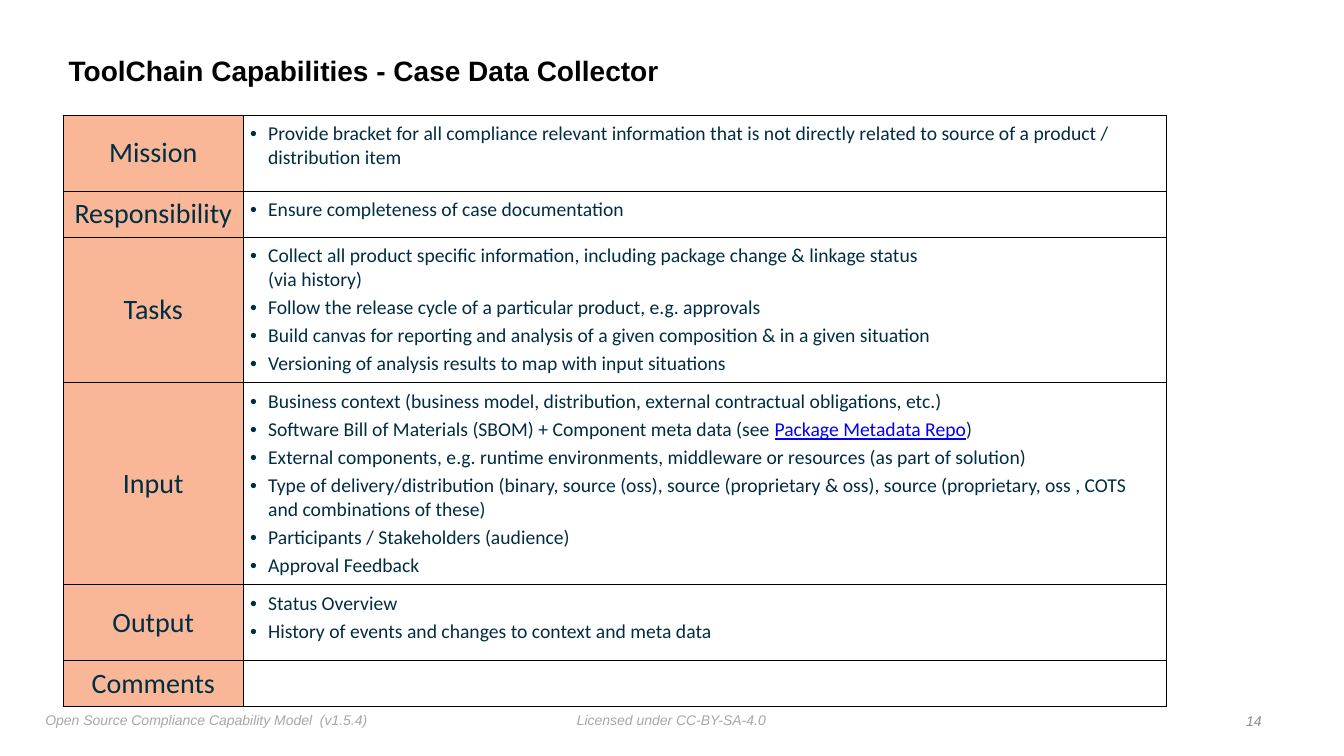
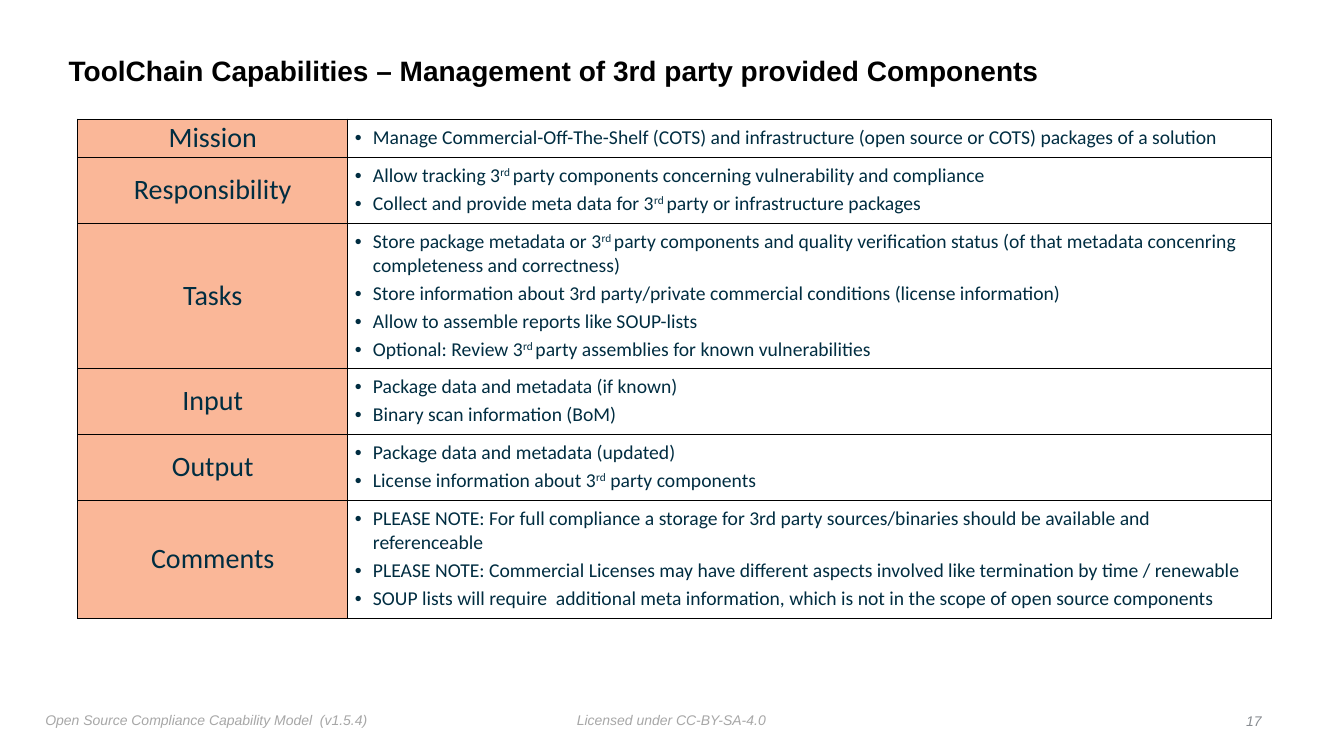
from dataclasses import dataclass

from lxml import etree
from pptx import Presentation
from pptx.dml.color import RGBColor
from pptx.enum.text import MSO_ANCHOR, PP_ALIGN
from pptx.oxml.ns import qn
from pptx.util import Inches, Pt

LEFT, CENTER, RIGHT = PP_ALIGN.LEFT, PP_ALIGN.CENTER, PP_ALIGN.RIGHT
TOP, MIDDLE = MSO_ANCHOR.TOP, MSO_ANCHOR.MIDDLE


@dataclass(frozen=True)
class Theme:
    heading_font: str = "Arial"
    table_font: str = "Calibri"
    black: str = "000000"
    ink: str = "002D41"
    link: str = "0000FF"
    label_fill: str = "FAB798"
    footer: str = "A7A7A7"
    number: str = "888C91"
    large: int = 20
    body: int = 14
    small: int = 10


theme = Theme()
presentation = Presentation()
presentation.slide_width, presentation.slide_height = Inches(13.33), Inches(7.5)
column = presentation.slide_width / 100
row = presentation.slide_height / 100
label_names = ["Mission", "Responsibility", "Tasks", "Input", "Output", "Comments"]
text_column = 68.72

pages = [
    {
        "title": "ToolChain Capabilities - Case Data Collector",
        "number": "14",
        "left": 4.73,
        "top": 15.2,
        "label_column": 13.35,
        "heights": [10.05, 6.08, 19.31, 26.72, 10.05, 6.08],
        "texts": [
            ["Provide bracket for all compliance relevant information that is not directly related to source of a product / distribution item"],
            ["Ensure completeness of case documentation"],
            [
                "Collect all product specific information, including package change & linkage status |\n|(via history)",
                "Follow the release cycle of a particular product, e.g. approvals",
                "Build canvas for reporting and analysis of a given composition & in a given situation",
                "Versioning of analysis results to map with input situations",
            ],
            [
                "Business context (business model, distribution, external contractual obligations, etc.)",
                "Software Bill of Materials (SBOM) + Component meta data (see |_Package Metadata Repo|)",
                "External components, e.g. runtime environments, middleware or resources (as part of solution)",
                "Type of delivery/distribution (binary, source (oss), source (proprietary & oss), source (proprietary, oss , COTS and combinations of these)",
                "Participants / Stakeholders (audience)",
                "Approval Feedback",
            ],
            ["Status Overview", "History of events and changes to context and meta data"],
            [],
        ],
    },
    {
        "title": "ToolChain Capabilities – Management of 3rd party provided Components",
        "number": "17",
        "left": 5.78,
        "top": 15.73,
        "label_column": 20.1,
        "heights": [5.03, 8.73, 19.2, 8.73, 8.73, 15.6],
        "texts": [
            ["Manage Commercial-Off-The-Shelf (COTS) and infrastructure (open source or COTS) packages of a solution"],
            [
                "Allow tracking 3|^rd |party components concerning vulnerability and compliance",
                "Collect and provide meta data for 3|^rd |party or infrastructure packages",
            ],
            [
                "Store package metadata or 3|^rd |party components and quality verification status (of that metadata concenring completeness and correctness)",
                "Store information about 3rd party/private commercial conditions (license information)",
                "Allow to assemble reports like SOUP-lists",
                "Optional: Review 3|^rd |party assemblies for known vulnerabilities",
            ],
            ["Package data and metadata (if known)", "Binary scan information (BoM)"],
            ["Package data and metadata (updated)", "License information about 3|^rd| party components"],
            [
                "PLEASE NOTE: For full compliance a storage for 3rd party sources/binaries should be available and referenceable",
                "PLEASE NOTE: Commercial Licenses may have different aspects involved like termination by time / renewable",
                "SOUP lists will require  additional meta information, which is not in the scope of open source components",
            ],
        ],
    },
]


def add_run(paragraph, text, font_name, size, color):
    run = paragraph.add_run()
    run.text = text
    run.font.name, run.font.size = font_name, Pt(size)
    run.font.color.rgb = RGBColor.from_string(color)
    return run


def style_cell(cell, margin, anchor):
    cell.margin_left = cell.margin_right = cell.margin_top = cell.margin_bottom = Inches(margin)
    cell.vertical_anchor = anchor
    properties = cell._tc.get_or_add_tcPr()
    for side in ("a:lnL", "a:lnR", "a:lnT", "a:lnB"):
        line = etree.SubElement(properties, qn(side), w=str(Pt(0.5)))
        fill = etree.SubElement(line, qn("a:solidFill"))
        etree.SubElement(fill, qn("a:srgbClr"), val=theme.black)


for page in pages:
    slide = presentation.slides.add_slide(presentation.slide_layouts[6])

    captions = [
        ("Licensed under CC-BY-SA-4.0", 42.54, 93.47, 14.93, 3.33, theme.footer, LEFT, TOP),
        ("Open Source Compliance Capability Model  (v1.5.4)", 3, 93.47, 24.91, 3.6, theme.footer, LEFT, TOP),
        (page["title"], 4.73, 5.2, 80.64, 8.67, theme.black, LEFT, MIDDLE),
        (page["number"], 91, 93.73, 3.25, 3.33, theme.number, RIGHT, MIDDLE),
    ]
    for text, left, top, width, height, color, alignment, anchor in captions:
        is_title = text == page["title"]
        shape = slide.shapes.add_textbox(
            int(left * column), int(top * row), int(width * column), int(height * row)
        )
        frame = shape.text_frame
        frame.word_wrap = is_title or alignment == RIGHT
        frame.vertical_anchor = anchor
        frame.margin_left = frame.margin_right = frame.margin_top = frame.margin_bottom = Inches(0.05)
        paragraph = frame.paragraphs[0]
        paragraph.alignment = alignment
        if is_title:
            paragraph.line_spacing = 0.9
        run = add_run(paragraph, text, theme.heading_font, theme.large if is_title else theme.small, color)
        run.font.bold, run.font.italic = is_title, not is_title

    widths = [page["label_column"], text_column]
    table = slide.shapes.add_table(
        len(label_names), len(widths), int(page["left"] * column), int(page["top"] * row),
        int(sum(widths) * column), int(sum(page["heights"]) * row),
    ).table
    table.first_row = table.horz_banding = False
    for table_column, width in zip(table.columns, widths):
        table_column.width = int(width * column)

    for index, (name, height, texts) in enumerate(zip(label_names, page["heights"], page["texts"])):
        table.rows[index].height = int(height * row)
        label, content = table.cell(index, 0), table.cell(index, 1)

        style_cell(label, 0, MIDDLE)
        label.fill.solid()
        label.fill.fore_color.rgb = RGBColor.from_string(theme.label_fill)
        paragraph = label.text_frame.paragraphs[0]
        paragraph.alignment = CENTER
        add_run(paragraph, name, theme.table_font, theme.large, theme.ink)

        style_cell(content, 0.07, TOP)
        content.fill.background()
        for position, text in enumerate(texts):
            frame = content.text_frame
            paragraph = frame.add_paragraph() if position else frame.paragraphs[0]
            if position:
                paragraph.space_before = Pt(3)
            properties = paragraph._p.get_or_add_pPr()
            properties.set("marL", str(Inches(0.18)))
            properties.set("indent", str(-Inches(0.18)))
            etree.SubElement(properties, qn("a:buFont"), typeface=theme.heading_font)
            etree.SubElement(properties, qn("a:buChar"), char="•")
            for segment in text.split("|"):
                if segment == "\n":
                    paragraph.add_line_break()
                    etree.SubElement(paragraph._p[-1], qn("a:rPr"), sz=str(theme.body * 100))
                    continue
                is_link, is_raised = segment.startswith("_"), segment.startswith("^")
                run = add_run(
                    paragraph, segment.lstrip("_^"), theme.table_font, theme.body,
                    theme.link if is_link else theme.ink,
                )
                if is_link:
                    run.font.underline = True
                if is_raised:
                    run._r.get_or_add_rPr().set("baseline", "30000")

presentation.save("out.pptx")
